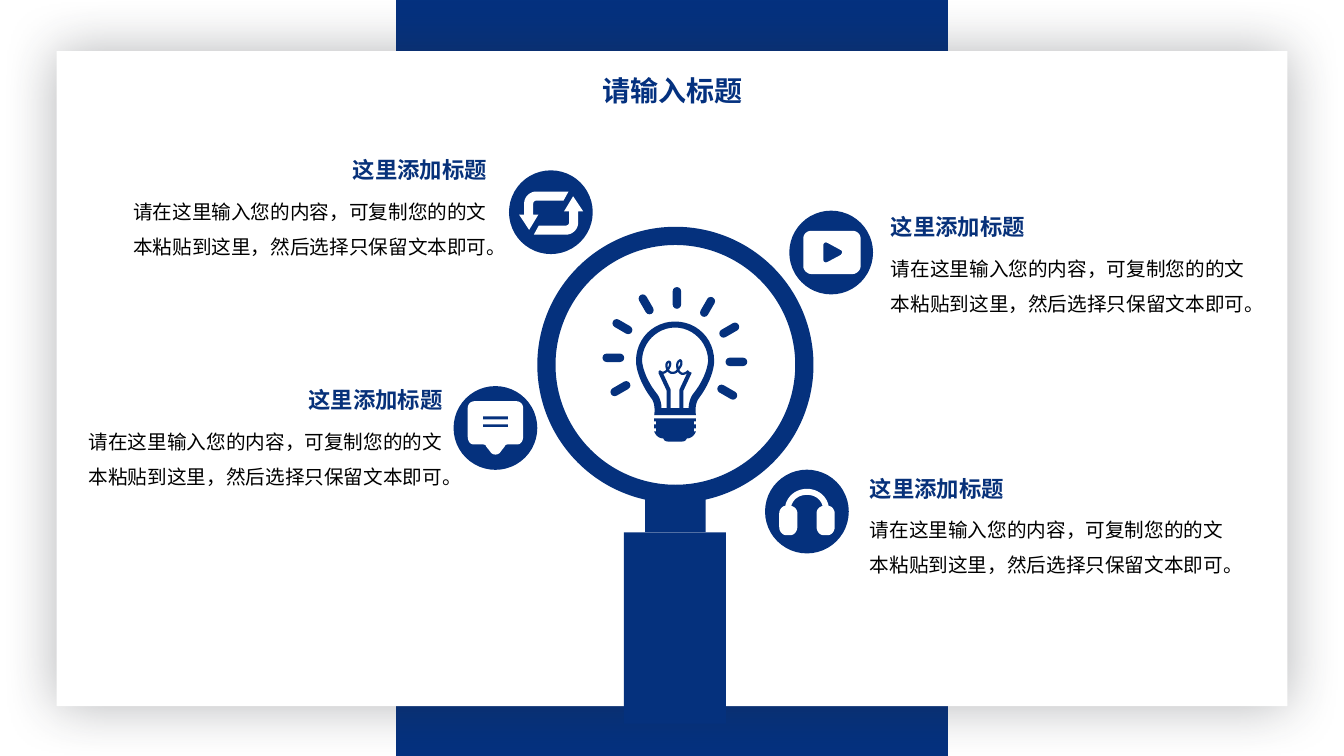
from lxml import etree
from pptx import Presentation
from pptx.dml.color import RGBColor
from pptx.enum.shapes import MSO_SHAPE
from pptx.enum.text import MSO_ANCHOR, PP_ALIGN
from pptx.oxml.ns import qn
from pptx.util import Pt

RECT, ROUND_RECT = MSO_SHAPE.RECTANGLE, MSO_SHAPE.ROUNDED_RECTANGLE
OVAL, DONUT = MSO_SHAPE.OVAL, MSO_SHAPE.DONUT
LEFT, CENTER, RIGHT = PP_ALIGN.LEFT, PP_ALIGN.CENTER, PP_ALIGN.RIGHT
MIDDLE = MSO_ANCHOR.MIDDLE

COLORS = {"band": "04317F", "icon": "05317D", "heading": "07317A",
          "white": "FFFFFF", "text": "000000", "shadow": "2A2C33"}
CJK_FONT = "Noto Sans CJK SC"
HEADING = "这里添加标题"
BODY = "请在这里输入您的内容，可复制您的的文本粘贴到这里，然后选择只保留文本即可。"

# Heading left and top, alignment
CAPTIONS = [(76.3, 108, RIGHT), (629.3, 149, LEFT),
            (44.6, 272.2, RIGHT), (614.2, 335.5, LEFT)]
BADGES = [(363.6, 121.7), (563.8, 150.5), (324, 275.8), (546.5, 335.5)]
# Ray centre and angle
RAYS = [(483.5, 212.8, 90), (461.5, 217.4, 60), (444.6, 233.3, 30),
        (438.1, 255.6, 0), (443.2, 277.6, -30), (519.5, 280.1, 30),
        (526, 258.5, 0), (520.9, 235.8, -30), (505.4, 219.2, -60)]

# Outlines: a pair is a corner, six numbers are a Bézier curve
BULB_AXIS = 482.2
GLASS_HALF = [(482.2, 229.7), (466.6, 229.7, 454.3, 241.9, 454.3, 257.8),
              (454.3, 262, 456, 272, 465.1, 284.4),
              (468.7, 288.7, 467.3, 296.6, 467.3, 296.6)]
HOLLOW_HALF = [(482.2, 234), (469.4, 234, 458.6, 244.8, 458.6, 257.8),
               (459, 262, 461, 271, 469.4, 281.5),
               (471.6, 284.4, 472.5, 288.7, 472.5, 291.6)]
SOCKET_HALF = [(467.3, 298.8), (467.3, 301), (468.7, 301), (468.7, 303.1),
               (467.3, 303.1), (467.3, 306), (468.7, 306), (468.7, 308.2),
               (467.3, 308.2), (468, 310.3, 470.2, 313.2, 473.8, 313.2),
               (474.5, 314.6, 475.2, 315.4, 477.4, 315.4)]
POST = [(471.6, 265.7), (477.6, 278.6), (477.6, 292)]
COIL = [(470.9, 265), (473, 267.8, 475.9, 265.7, 477.4, 263.5),
        (479.5, 260.6, 478.8, 257.8, 477.4, 258.5),
        (474.5, 259.9, 476.6, 266.4, 480.2, 266.4),
        (483.1, 266.4, 483.8, 265, 485.3, 262.8),
        (488.2, 259.2, 486, 256.3, 485.3, 257.8),
        (482.4, 259.2, 483.8, 266.4, 487.4, 267.1),
        (489.6, 267.1, 491, 265.7, 491.8, 265)]
LOOP_ARROW = [(380.9, 153.4), (380.9, 145.4),
              (380.9, 144, 382.3, 143.3, 383, 143.3), (402.5, 143.3),
              (406.1, 136.8), (383, 136.8),
              (378.7, 136.8, 374.4, 140.4, 374.4, 145.4), (374.4, 153.4),
              (370.8, 153.4), (378, 164.2), (384.5, 153.4)]
LOOP_CENTER = (393.7, 152.2)
SPEECH_HALF = [(353.9, 286.6), (339.1, 286.6),
               (336.2, 286.6, 334.1, 288.7, 334.1, 291.6), (334.1, 311.8),
               (334.1, 314.6, 335.5, 317.5, 338.4, 317.5), (344.2, 317.5),
               (345.6, 317.5, 346.3, 317.5, 347, 318.2),
               (347, 319, 349.2, 321.1, 350.6, 323.3),
               (351.5, 324.2, 352.6, 324.7, 353.9, 324.7)]
HEADPHONES_HALF = [(576.4, 349.2), (568.8, 349.2, 562.3, 354.2, 560.9, 361.4),
                   (558.7, 361.4, 556.6, 364.3, 556.6, 366.5), (556.6, 376.6),
                   (556.6, 379.4, 558.7, 382.3, 561.6, 382.3), (564.5, 382.3),
                   (567.4, 382.3, 569.5, 379.4, 569.5, 376.6), (569.5, 366.5),
                   (569.5, 364.3, 568.1, 362.2, 565.2, 361.4),
                   (566.6, 356.4, 571, 353.5, 576.4, 353.5)]
SCREEN_HALF = [(594.3, 164.9), (579.6, 164.9),
               (576.7, 164.9, 573.8, 167, 573.8, 170.6), (573.8, 190.1),
               (573.8, 193, 576.7, 195.8, 579.6, 195.8), (594.3, 195.8)]
PLAY = [(600.5, 178.6), (601.9, 179.3, 601.9, 180.7, 600.5, 182.2),
        (591.1, 187.2), (589.7, 187.9, 588.2, 187.2, 588.2, 185.8),
        (588.2, 175), (588.2, 173.5, 589.7, 172.8, 591.1, 173.5)]


def rgb(color):
    return RGBColor.from_string(COLORS[color])


def flatten(outline, steps=12):
    """Turn corners and Bézier curves into a list of points."""
    points = []
    for part in outline:
        if len(part) == 2:
            points.append(part)
            continue
        ends = [points[-1], part[:2], part[2:4], part[4:]]
        for step in range(1, steps + 1):
            t = step / steps
            weights = ((1 - t) ** 3, 3 * t * (1 - t) ** 2, 3 * t * t * (1 - t), t ** 3)
            points.append(tuple(sum(w * end[i] for w, end in zip(weights, ends))
                                for i in (0, 1)))
    return points


def mirror(points, axis):
    return [(2 * axis - x, y) for x, y in points]


def symmetric(half, axis):
    """Complete a left half outline with its reflection."""
    left = flatten(half)
    return left + mirror(left, axis)[::-1]


def box(left, top, right, bottom):
    return [(left, top), (right, top), (right, bottom), (left, bottom)]


def paint(shape, color):
    shape.shadow.inherit = False
    shape.fill.solid()
    shape.fill.fore_color.rgb = rgb(color)
    shape.line.fill.background()


def add_preset(slide, kind, left, top, width, height, color):
    shape = slide.shapes.add_shape(kind, Pt(left), Pt(top), Pt(width), Pt(height))
    paint(shape, color)
    return shape


def add_outline(slide, contours, closed=True):
    """Draw contours as one freeform; inner contours become holes."""
    builder = None
    for contour in contours:
        (x, y), *rest = [(Pt(px), Pt(py)) for px, py in contour]
        if builder is None:
            builder = slide.shapes.build_freeform(x, y)
        else:
            builder.move_to(x, y)
        builder.add_line_segments(rest, close=closed)
    return builder.convert_to_shape()


def add_icon(slide, color, *contours):
    paint(add_outline(slide, contours), color)


def add_wire(slide, points, width):
    wire = add_outline(slide, [points], closed=False)
    wire.shadow.inherit = False
    wire.fill.background()
    wire.line.color.rgb = rgb("icon")
    wire.line.width = Pt(width)


def add_glow(shape):
    effects = shape._element.spPr.find(qn("a:effectLst"))
    shadow = etree.SubElement(effects, qn("a:outerShdw"), blurRad=str(Pt(40)),
                              dist="0", dir="0", algn="ctr", rotWithShape="0")
    tint = etree.SubElement(shadow, qn("a:srgbClr"), val=COLORS["shadow"])
    etree.SubElement(tint, qn("a:alpha"), val="35000")


def write(frame, text, size, color, align, bold=False, font=CJK_FONT, spacing=1):
    frame.word_wrap = True
    frame.text = text
    paragraph = frame.paragraphs[0]
    paragraph.alignment = align
    paragraph.line_spacing = spacing
    run = paragraph.runs[0]
    run.font.size = Pt(size)
    run.font.bold = bold
    run.font.color.rgb = rgb(color)
    run.font.name = font
    etree.SubElement(run.font._element, qn("a:ea"), typeface=CJK_FONT)


def add_caption(slide, left, top, align):
    heading = slide.shapes.add_textbox(Pt(left), Pt(top), Pt(278.6), Pt(26.6))
    write(heading.text_frame, HEADING, 16, "heading", align, bold=True)
    body = slide.shapes.add_textbox(Pt(left), Pt(top + 22.6), Pt(278.6), Pt(58.3))
    write(body.text_frame, BODY, 14, "text", align, spacing=1.5)


def add_title(slide, text):
    title = slide.shapes.title
    title.left, title.top, title.width, title.height = Pt(368), Pt(49), Pt(224.6), Pt(31.7)
    title.text_frame.vertical_anchor = MIDDLE
    write(title.text_frame, text, 20, "band", CENTER, bold=True, font="Calibri")
    title._element.getparent().append(title._element)


def add_magnifier(slide):
    ring = add_preset(slide, DONUT, 383.8, 162, 197.3, 197.3, "icon")
    ring.adjustments[0] = 0.066
    add_preset(slide, RECT, 460.8, 350.6, 43.2, 29.6, "icon")
    add_preset(slide, RECT, 445.7, 380.2, 72.9, 136.8, "icon")


def add_bulb(slide):
    for x, y, angle in RAYS:
        ray = add_preset(slide, ROUND_RECT, x - 7.75, y - 3, 15.5, 6, "icon")
        ray.adjustments[0] = 0.5
        ray.rotation = angle
    add_icon(slide, "icon", symmetric(GLASS_HALF, BULB_AXIS),
             symmetric(HOLLOW_HALF, BULB_AXIS))
    add_icon(slide, "icon", symmetric(SOCKET_HALF, BULB_AXIS))
    for post in (POST, mirror(POST, BULB_AXIS)):
        add_wire(slide, post, 2.9)
    add_wire(slide, flatten(COIL), 1.6)


def add_badges(slide):
    for left, top in BADGES:
        add_preset(slide, OVAL, left, top, 59.8, 59.8, "icon")
    arrow = flatten(LOOP_ARROW)
    cx, cy = LOOP_CENTER
    add_icon(slide, "white", arrow)
    add_icon(slide, "white", [(2 * cx - x, 2 * cy - y) for x, y in arrow])
    add_icon(slide, "white", symmetric(SPEECH_HALF, 353.9),
             *[box(344.9, top, 362.9, top + 2.1) for top in (297.4, 303.1)])
    add_icon(slide, "white", symmetric(HEADPHONES_HALF, 576.4))
    add_icon(slide, "white", symmetric(SCREEN_HALF, 594.3), flatten(PLAY))


def main():
    deck = Presentation()
    deck.slide_width, deck.slide_height = Pt(960), Pt(540)
    slide = deck.slides.add_slide(deck.slide_layouts[5])
    add_preset(slide, RECT, 282.9, 0, 394.3, 540, "band")
    add_glow(add_preset(slide, RECT, 40.5, 36.5, 879, 468, "white"))
    add_title(slide, "请输入标题")
    add_magnifier(slide)
    add_bulb(slide)
    add_badges(slide)
    for left, top, align in CAPTIONS:
        add_caption(slide, left, top, align)
    deck.save("out.pptx")


if __name__ == "__main__":
    main()
